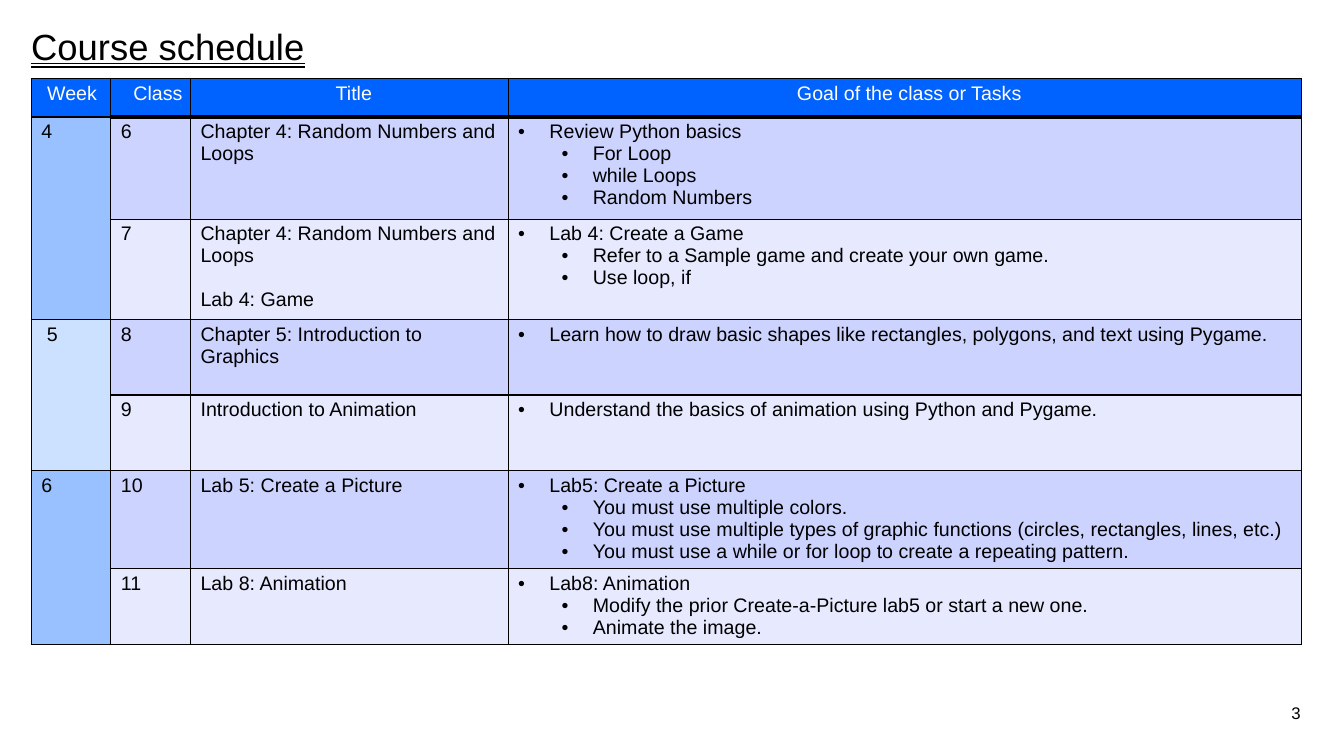
import dataclasses

import lxml.etree
import pptx
import pptx.dml.color
import pptx.enum.text
import pptx.oxml.ns
import pptx.util

Inches = pptx.util.Inches
Pt = pptx.util.Pt
qn = pptx.oxml.ns.qn
ALIGN = pptx.enum.text.PP_ALIGN


@dataclasses.dataclass(frozen=True)
class Theme:
    font: str = "Arial"
    ink: str = "000000"
    header_ink: str = "FFFFFF"
    header_fill: str = "0062FF"
    week_fills: tuple = ("99C0FF", "CCE0FF")
    class_fills: tuple = ("CCD3FF", "E7EAFF")
    title_size: int = 26
    table_size: int = 14
    number_size: int = 12
    line: int = 1
    header_line: int = 3


theme = Theme()


def add_run(paragraph, text, size, color=theme.ink):
    run = paragraph.add_run()
    run.text = text
    run.font.name = theme.font
    run.font.size = Pt(size)
    run.font.bold = False
    run.font.color.rgb = pptx.dml.color.RGBColor.from_string(color)
    return run


def set_borders(cell, top, bottom):
    """Draw all four cell edges; top and bottom are widths in points."""
    edges = (("a:lnL", theme.line), ("a:lnR", theme.line), ("a:lnT", top), ("a:lnB", bottom))
    properties = cell._tc.get_or_add_tcPr()
    for position, (tag, width) in enumerate(edges):
        edge = lxml.etree.Element(qn(tag), w=str(Pt(width)))
        fill = lxml.etree.SubElement(edge, qn("a:solidFill"))
        lxml.etree.SubElement(fill, qn("a:srgbClr"), val=theme.ink)
        properties.insert(position, edge)


presentation = pptx.Presentation()
presentation.slide_width = Inches(13.33)
presentation.slide_height = Inches(7.5)
slide = presentation.slides.add_slide(presentation.slide_layouts[6])

title = slide.shapes.add_textbox(Inches(0.31), Inches(0.29), Inches(6.04), Inches(6.26)).text_frame
title.word_wrap = True
title.margin_left = title.margin_right = title.margin_top = title.margin_bottom = 0
title.paragraphs[0].line_spacing = 0.9
heading = add_run(title.paragraphs[0], "Course schedule", theme.title_size)
heading.font.underline = pptx.enum.text.MSO_UNDERLINE.DOUBLE_LINE

# Each row: week, class, title paragraphs, goal followed by its sub-goals
schedule = [
    (["Week"], [" Class"], ["Title"], ["Goal of the class or Tasks"]),
    (["4"], ["6"], ["Chapter 4: Random Numbers and Loops"],
     ["Review Python basics", "For Loop", "while Loops", "Random Numbers"]),
    ([], ["7"], ["Chapter 4: Random Numbers and Loops", "Lab 4: Game"],
     ["Lab 4: Create a Game", "Refer to a Sample game and create your own game.",
      "Use loop, if"]),
    ([" 5"], ["8"], ["Chapter 5: Introduction to Graphics"],
     ["Learn how to draw basic shapes like rectangles, polygons, and text using Pygame."]),
    ([], ["9"], ["Introduction to Animation"],
     ["Understand the basics of animation using Python and Pygame."]),
    (["6"], ["10"], ["Lab 5: Create a Picture"],
     ["Lab5: Create a Picture", "You must use multiple colors.",
      "You must use multiple types of graphic functions (circles, rectangles, lines, etc.)",
      "You must use a while or for loop to create a repeating pattern."]),
    ([], ["11"], ["Lab 8: Animation"],
     ["Lab8: Animation", "Modify the prior Create-a-Picture lab5 or start a new one.",
      "Animate the image."]),
]
column_widths = (0.79, 0.79, 3.15, 7.87)
row_heights = (0.38, 0.95, 0.95, 0.75, 0.75, 0.91, 0.75)

table = slide.shapes.add_table(
    len(row_heights), len(column_widths), Inches(0.31), Inches(0.78),
    Inches(sum(column_widths)), Inches(sum(row_heights))).table
table.first_row = table.horz_banding = False
for column, width in zip(table.columns, column_widths):
    column.width = Inches(width)
for row, height in zip(table.rows, row_heights):
    row.height = Inches(height)
for first in (1, 3, 5):
    table.cell(first, 0).merge(table.cell(first + 1, 0))

for r, entries in enumerate(schedule):
    for c, lines in enumerate(entries):
        cell = table.cell(r, c)
        if r == 0:
            fill = theme.header_fill
        elif c == 0:
            fill = theme.week_fills[(r - 1) // 2 % 2]
        else:
            fill = theme.class_fills[(r - 1) % 2]
        cell.fill.solid()
        cell.fill.fore_color.rgb = pptx.dml.color.RGBColor.from_string(fill)
        set_borders(cell,
                    theme.header_line if r == 1 and c else theme.line,
                    theme.header_line if r == 0 and c else theme.line)

        tight = (r in (0, 5, 6) or c < 2) and (r, c) not in ((0, 0), (1, 1))
        cell.margin_left = Inches(0.1)
        cell.margin_top = Inches(0.04)
        cell.margin_right = Inches(0.01 if tight else 0.08)
        cell.margin_bottom = Inches(0 if tight else 0.04)

        for i, line in enumerate(lines):
            paragraph = cell.text_frame.paragraphs[0] if i == 0 else cell.text_frame.add_paragraph()
            paragraph.alignment = ALIGN.CENTER if r == 0 else ALIGN.LEFT
            if r and c == 3:
                paragraph.level = min(i, 1)
                bullet = paragraph._p.get_or_add_pPr()
                bullet.set("marL", str(Inches(0.74 if i else 0.31)))
                bullet.set("indent", str(Inches(-0.31)))
                lxml.etree.SubElement(bullet, qn("a:buFont"), typeface=theme.font)
                lxml.etree.SubElement(bullet, qn("a:buChar"), char="•")
            elif i:
                paragraph.space_before = Pt(15.5)
            add_run(paragraph, line, theme.table_size, theme.ink if r else theme.header_ink)

page = slide.shapes.add_textbox(Inches(10.33), Inches(6.92), Inches(2.67), Inches(0.24)).text_frame
page.word_wrap = True
page.paragraphs[0].alignment = ALIGN.RIGHT
add_run(page.paragraphs[0], "3", theme.number_size)

presentation.save("out.pptx")
